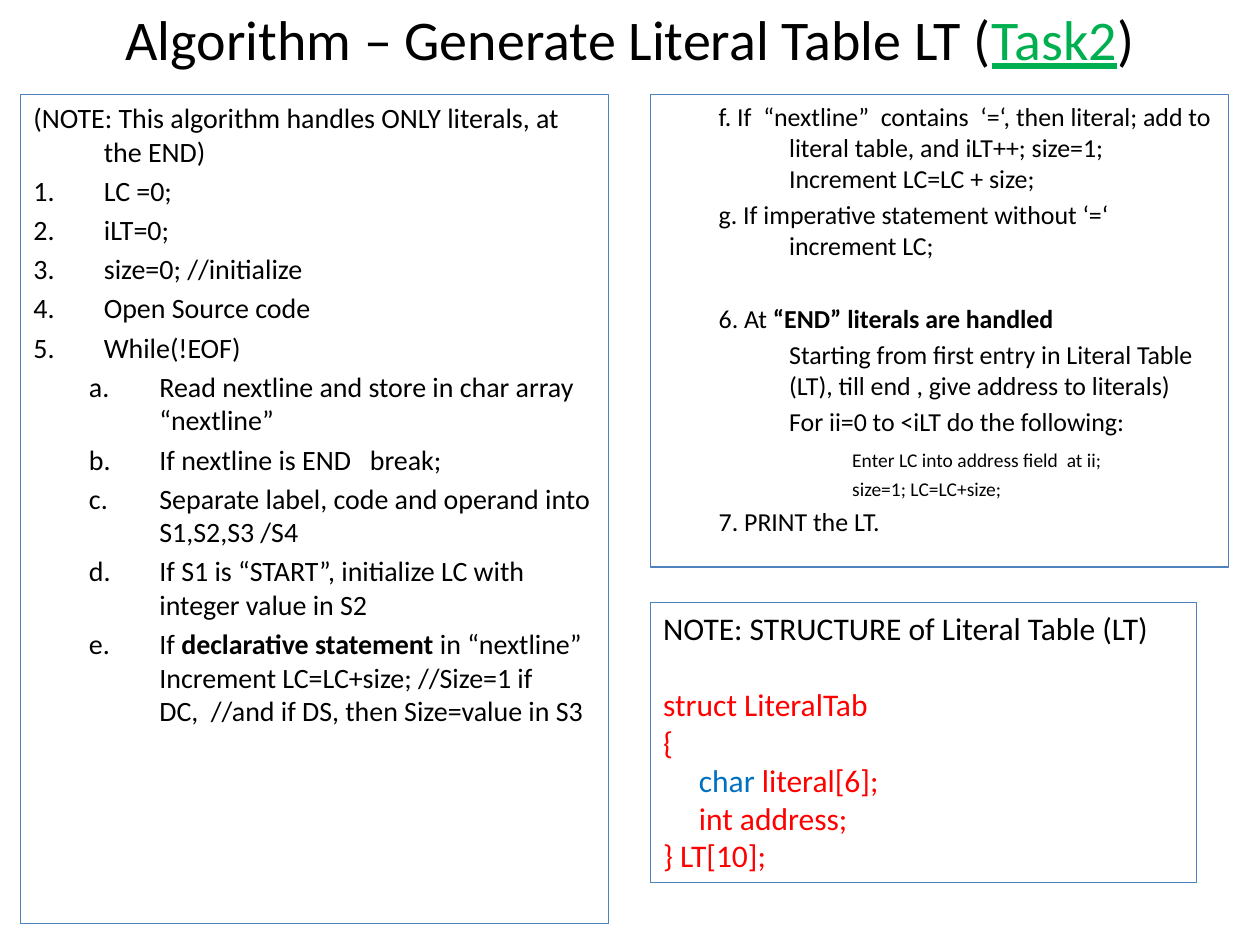
"""Builds the slide on the algorithm that generates a literal table."""
import pptx
import pptx.dml.color
import pptx.enum.dml
import pptx.enum.shapes
import pptx.enum.text
import pptx.util
import lxml.etree
from pptx.util import Cm, Pt

BLACK = pptx.dml.color.RGBColor(0x00, 0x00, 0x00)
GREEN = pptx.dml.color.RGBColor(0x00, 0xB0, 0x50)
RED = pptx.dml.color.RGBColor(0xFF, 0x00, 0x00)
BLUE = pptx.dml.color.RGBColor(0x00, 0x70, 0xC0)
BORDER = pptx.dml.color.RGBColor(0x4F, 0x81, 0xBD)
FONT = "Calibri"
HANGING = Cm(1.42)

TITLE = ("Algorithm – Generate Literal Table LT (", "Task2", ")")

STYLES = {
    "note": dict(size=16, left=HANGING, first=-HANGING, before=3.2),
    "step": dict(size=16, left=HANGING, first=-HANGING, before=3.2, number="arabicPeriod"),
    "substep": dict(size=16, left=Cm(2.54), first=-HANGING, before=3.2,
                    number="alphaLcPeriod", level=1),
    "item": dict(size=14.8, left=Cm(2.54), first=-HANGING, before=3),
    "section": dict(size=14.8, left=Cm(2.54), first=-HANGING, before=23.6),
    "detail": dict(size=14.8, left=Cm(2.54), before=3),
    "loop start": dict(size=11.1, left=Cm(3.81), before=6.5),
    "loop": dict(size=11.1, left=Cm(3.81), before=3),
    "heading": dict(size=18),
    "struct": dict(size=18, before=22, color=RED),
    "code": dict(size=18, color=RED),
    "field": dict(size=18, left=Cm(0.72), color=RED),
}

STEPS = [
    ("note", "(NOTE: This algorithm handles ONLY literals, at the END)"),
    ("step", "LC =0;"),
    ("step", "iLT=0;"),
    ("step", "size=0; //initialize"),
    ("step", "Open Source code"),
    ("step", "While(!EOF)"),
    ("substep", "Read nextline and store in char array “nextline”"),
    ("substep", "If nextline is END   break;"),
    ("substep", "Separate label, code and operand into S1,S2,S3 /S4"),
    ("substep", "If S1 is “START”, initialize LC with integer value in S2"),
    ("substep", "If ", ("declarative statement ", "bold"),
     "in “nextline” Increment LC=LC+size; //Size=1 if DC,  //and if DS, then Size=value in S3"),
]

LITERALS = [
    ("item", "f. If  “nextline”  contains  ‘=‘, then literal; add to literal table, "
             "and iLT++; size=1; Increment LC=LC + size;"),
    ("item", "g. If imperative statement without ‘=‘ increment LC;"),
    ("section", "6. At", (" “END” literals are handled", "bold")),
    ("detail", "Starting from first entry in Literal Table (LT), till end , give address to literals)"),
    ("detail", "For ii=0 to <iLT do the following:"),
    ("loop start", "Enter LC into address field  at ii;"),
    ("loop", "size=1; LC=LC+size;"),
    ("item", "7. PRINT the LT."),
]

STRUCTURE = [
    ("heading", "NOTE: STRUCTURE of Literal Table (LT)"),
    ("struct", "struct LiteralTab"),
    ("code", "{"),
    ("field", ("char ", BLUE), "literal[6];"),
    ("field", "int address;"),
    ("code", "} LT[10];"),
]


def place(shape, left, top, width, height):
    shape.left, shape.top, shape.width, shape.height = left, top, width, height
    shape.text_frame.word_wrap = True
    shape.text_frame.auto_size = pptx.enum.text.MSO_AUTO_SIZE.NONE


def format_paragraph(paragraph, size, left=0, first=0, before=0, number=None, level=0, color=BLACK):
    paragraph.level = level
    paragraph.space_before = Pt(before)
    properties = paragraph._p.get_or_add_pPr()
    properties.set("marL", str(int(left)))
    properties.set("indent", str(int(first)))
    bullet = lxml.etree.SubElement(
        properties, pptx.oxml.ns.qn("a:buAutoNum" if number else "a:buNone"))
    if number:
        bullet.set("type", number)
    paragraph.font.name = FONT
    paragraph.font.size = Pt(size)
    paragraph.font.color.rgb = color


def fill_box(shape, lines):
    shape.line.color.rgb = BORDER
    shape.line.width = Pt(0.75)
    frame = shape.text_frame
    for index, (style, *parts) in enumerate(lines):
        paragraph = frame.add_paragraph() if index else frame.paragraphs[0]
        format_paragraph(paragraph, **STYLES[style])
        for part in parts:
            text, accent = (part, None) if isinstance(part, str) else part
            run = paragraph.add_run()
            run.text = text
            if accent == "bold":
                run.font.bold = True
            elif accent:
                run.font.color.rgb = accent


presentation = pptx.Presentation()
presentation.slide_width, presentation.slide_height = Cm(25.4), Cm(19.05)
slide = presentation.slides.add_slide(presentation.slide_layouts[1])

title = slide.shapes.title
place(title, Cm(1.27), Cm(0.2), Cm(22.86), Cm(1.14))
title_paragraph = title.text_frame.paragraphs[0]
format_paragraph(title_paragraph, 32)
for text in TITLE:
    title_paragraph.add_run().text = text
task = title_paragraph.runs[1]
task.font.color.rgb = GREEN
task.font.underline = True

steps_box = slide.placeholders[1]
place(steps_box, Cm(0.42), Cm(1.9), Cm(11.85), Cm(16.72))
fill_box(steps_box, STEPS)

for top, width, height, lines in (
    (Cm(1.9), Cm(11.64), Cm(9.53), LITERALS),
    (Cm(12.15), Cm(11), Cm(5.64), STRUCTURE),
):
    box = slide.shapes.add_textbox(Cm(13.12), top, width, height)
    place(box, Cm(13.12), top, width, height)
    fill_box(box, lines)

presentation.save("out.pptx")
